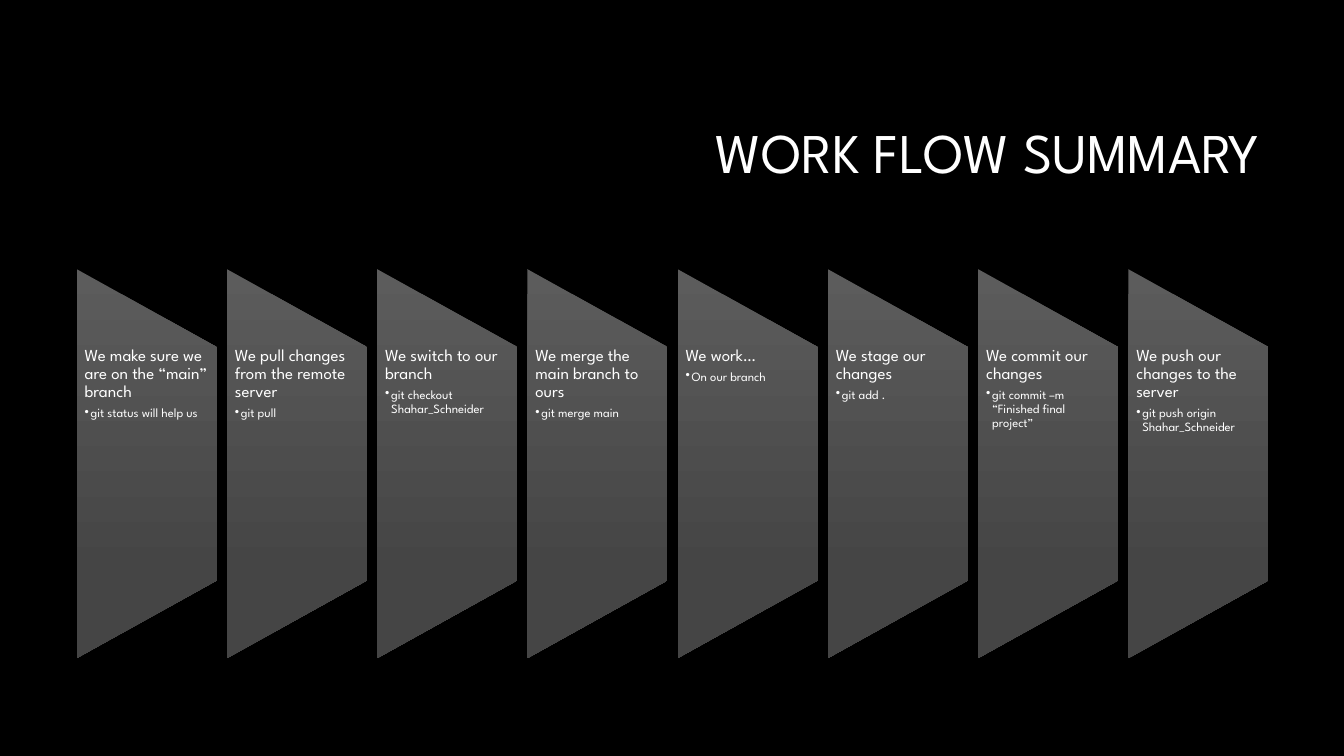
from pptx import Presentation
from pptx.dml.color import RGBColor
from pptx.enum.shapes import MSO_SHAPE as SHAPE
from pptx.enum.text import MSO_ANCHOR as ANCHOR, MSO_AUTO_SIZE as AUTO, PP_ALIGN as ALIGN
from pptx.oxml.ns import qn
from pptx.util import Inches, Pt

STEPS = [
    ("We make sure we are on the “main” branch", "git status will help us"),
    ("We pull changes from the remote server", "git pull"),
    ("We switch to our branch", "git checkout Shahar_Schneider"),
    ("We merge the main branch to ours", "git merge main"),
    ("We work…", "On our branch"),
    ("We stage our changes", "git add ."),
    ("We commit our changes", "git commit –m “Finished final project”"),
    ("We push our changes to the server", "git push origin Shahar_Schneider"),
]
LEFT, PITCH, STEP_W, STEP_H = 0.76, 1.49, 1.39, 3.86
STEP_MID, TEXT_TOP, TEXT_H = 4.6, 3.44, 2.32


def rgb(value):
    return RGBColor.from_string(value)


class Deck:
    """Holds the style and the current slide, and adds its elements."""

    font, ink, back = "League Spartan", "FFFFFF", "000000"
    stops = ((0, "5C5C5C"), (0.78, "454545"))

    def __init__(self, prs):
        self.s = prs.slides.add_slide(prs.slide_layouts[5])
        fill = self.s.background.fill
        fill.solid()
        fill.fore_color.rgb = rgb(self.back)

    def add_text(self, p, text, size, **fmt):
        for name, value in {"line_spacing": 0.9, **fmt}.items():
            setattr(p, name, value)
        r = p.add_run()
        r.text = text
        for name, value in {"name": self.font, "size": Pt(size)}.items():
            setattr(r.font, name, value)
        r.font.color.rgb = rgb(self.ink)

    def title(self, text, x, y, w, h):
        sp = self.s.shapes.title
        sp.left, sp.top, sp.width, sp.height = map(Inches, (x, y, w, h))
        tf = sp.text_frame
        tf.auto_size, tf.vertical_anchor, tf.word_wrap = AUTO.NONE, ANCHOR.MIDDLE, True
        self.add_text(tf.paragraphs[0], text, 40, alignment=ALIGN.RIGHT)

    def panel(self, x):
        sp = self.s.shapes.add_shape(
            SHAPE.FLOWCHART_MANUAL_OPERATION,
            Inches(x + (STEP_W - STEP_H) / 2), Inches(STEP_MID - STEP_W / 2),
            Inches(STEP_H), Inches(STEP_W))
        sp.rotation = 270
        sp.shadow.inherit = False
        sp.line.fill.background()
        sp.fill.gradient()
        sp.fill.gradient_angle = 270
        for stop, (position, color) in zip(sp.fill.gradient_stops, self.stops):
            stop.position = position
            stop.color.rgb = rgb(color)
        sp._element.spPr.find(qn("a:gradFill")).set("rotWithShape", "0")

    def bullet(self, p):
        pPr = p._p.get_or_add_pPr()
        pPr.set("marL", str(Inches(0.06)))
        pPr.set("indent", str(-Inches(0.06)))
        pPr.append(pPr.makeelement(qn("a:buChar"), {"char": "•"}))

    def step_text(self, x, heading, detail):
        box = self.s.shapes.add_textbox(
            Inches(x), Inches(TEXT_TOP), Inches(STEP_W), Inches(TEXT_H))
        tf = box.text_frame
        margins = {"margin_left": Inches(0.08), "margin_right": Inches(0.09),
                   "margin_top": 0, "margin_bottom": 0}
        for name, value in {"word_wrap": True, **margins}.items():
            setattr(tf, name, value)
        self.add_text(tf.paragraphs[0], heading, 12, space_after=Pt(4.2))
        p = tf.add_paragraph()
        self.bullet(p)
        self.add_text(p, detail, 9, level=1, space_after=Pt(1.35))


def main():
    prs = Presentation()
    prs.slide_width, prs.slide_height = Inches(13.33), Inches(7.5)
    deck = Deck(prs)
    deck.title("WORK FLOW SUMMARY", 3.17, 0.84, 9.42, 1.41)
    for i, (heading, detail) in enumerate(STEPS):
        x = LEFT + i * PITCH
        deck.panel(x)
        deck.step_text(x, heading, detail)
    prs.save("out.pptx")


if __name__ == "__main__":
    main()
